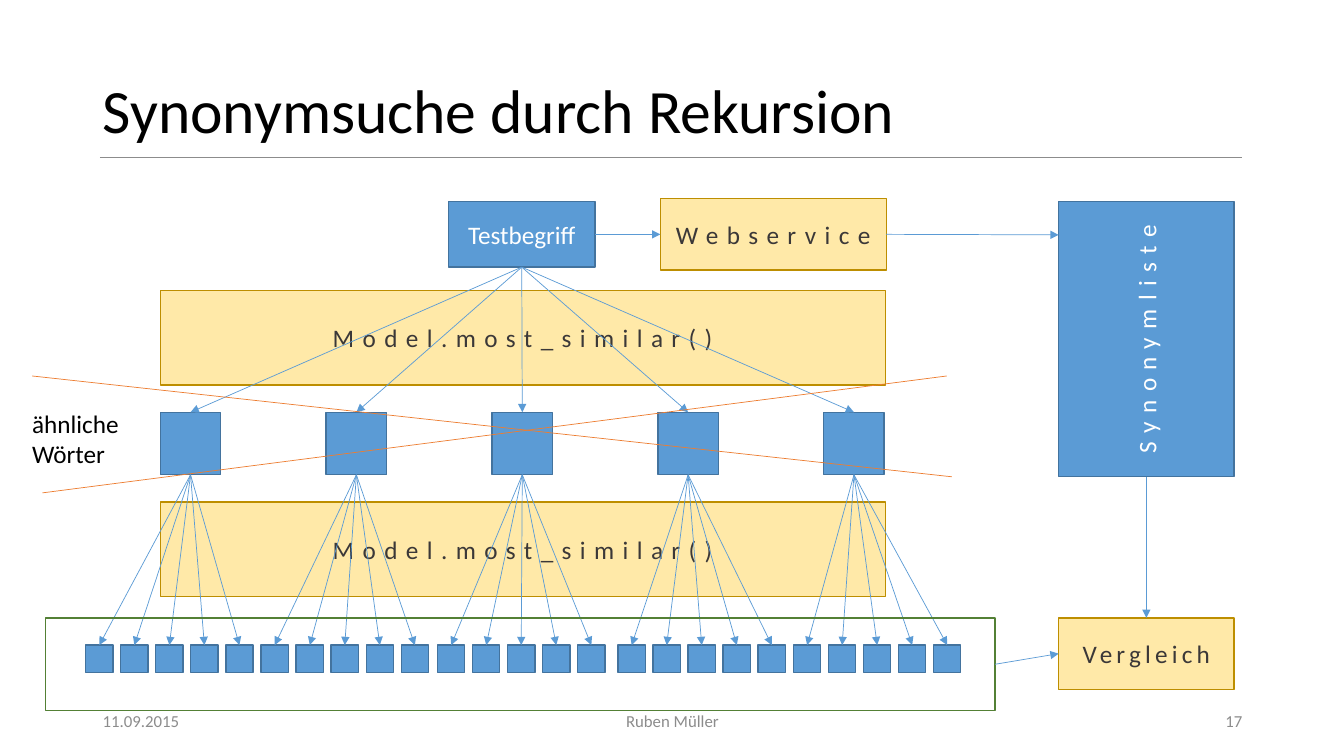
from lxml import etree
from pptx import Presentation
from pptx import util as u
from pptx.dml.color import RGBColor
from pptx.enum import shapes, text
from pptx.oxml import ns

HUES = {
    "blue": "5B9BD5", "navy": "43739E", "gold": "FFC000", "ochre": "BD8E00",
    "green": "538035", "orange": "ED7D31", "gray": "8C8C8C",
    "dark": "3B3838", "black": "000000", "white": "FFFFFF",
}
ALIGN = {"l": text.PP_ALIGN.LEFT, "c": text.PP_ALIGN.CENTER, "r": text.PP_ALIGN.RIGHT}
TOP, LEFT, BOTTOM, RIGHT = range(4)


def hue(name):
    return RGBColor.from_string(HUES[name])


def write(shape, words, size=18, color="black", align="l", gap=0, lead=None,
          middle=True, wrap=True, turn=None):
    """Put the lines of words into the shape."""
    frame = shape.text_frame
    frame.word_wrap = wrap
    frame.vertical_anchor = text.MSO_ANCHOR.MIDDLE if middle else text.MSO_ANCHOR.TOP
    if turn:
        shape.element.txBody.bodyPr.set("vert", turn)
    for i, line in enumerate(words.split("\n")):
        para = frame.add_paragraph() if i else frame.paragraphs[0]
        para.alignment = ALIGN[align]
        if lead:
            para.line_spacing = lead
        run = para.add_run()
        run.text = line
        run.font.name, run.font.size = "Calibri", u.Pt(size)
        run.font.color.rgb = hue(color)
        if gap:
            run.font._element.set("spc", str(gap * 100))


class Board:
    """Holds the slide and its line style."""
    thin, edge = u.Pt(0.5), u.Pt(1)

    def __init__(self, slide):
        self.slide = slide

    def label(self, words, x, y, w, h, **style):
        box = self.slide.shapes.add_textbox(*map(u.Inches, (x, y, w, h)))
        write(box, words, **style)

    def rect(self, x, y, w, h, fill="blue", line="navy", alpha=None):
        box = self.slide.shapes.add_shape(shapes.MSO_SHAPE.RECTANGLE,
                                          *map(u.Inches, (x, y, w, h)))
        box.shadow.inherit = False
        box.line.color.rgb, box.line.width = hue(line), self.edge
        if fill is None:
            box.fill.background()
            return box
        box.fill.solid()
        box.fill.fore_color.rgb = hue(fill)
        if alpha:
            tint = box.element.spPr.find(".//" + ns.qn("a:srgbClr"))
            etree.SubElement(tint, ns.qn("a:alpha")).set("val", str(alpha * 1000))
        return box

    def step(self, words, x, y, w, h, gap=6):
        box = self.rect(x, y, w, h, "gold", "ochre", alpha=34)
        write(box, words, color="dark", align="c", gap=gap)
        return box

    def line(self, x1, y1, x2, y2, color="blue"):
        wire = self.slide.shapes.add_connector(shapes.MSO_CONNECTOR.STRAIGHT,
                                               *map(u.Inches, (x1, y1, x2, y2)))
        wire.line.color.rgb, wire.line.width = hue(color), self.thin
        etree.SubElement(wire.element.spPr, ns.qn("a:effectLst"))
        return wire

    def arrow(self, start, side, end, goal=None, point=(0, 0)):
        """Join two boxes, or a box and a free point."""
        wire = self.line(0, 0, *point)
        wire.begin_connect(start, side)
        if goal is not None:
            wire.end_connect(end, goal)
        stroke = wire.element.spPr.find(ns.qn("a:ln"))
        etree.SubElement(stroke, ns.qn("a:tailEnd")).set("type", "triangle")


def main():
    deck = Presentation()
    deck.slide_width, deck.slide_height = u.Inches(13.33), u.Inches(7.5)
    board = Board(deck.slides.add_slide(deck.slide_layouts[6]))

    # Title and footer
    board.line(0.99, 1.56, 12.32, 1.56, "gray")
    board.label("Synonymsuche durch Rekursion", 0.92, 0.4, 11.5, 1.45, size=44, lead=0.9)
    for words, x, w, align in (("11.09.2015", 0.92, 3, "l"),
                               ("Ruben Müller", 4.42, 4.5, "c"),
                               ("17", 9.42, 3, "r")):
        board.label(words, x, 6.95, w, 0.4, size=12, color="gray", align=align)

    # Tree of words
    root = board.rect(4.45, 2, 1.45, 0.65)
    write(root, "Testbegriff", color="white", align="c")
    nodes = [board.rect(1.59 + 6.58 * i / 4, 4.09, 0.6, 0.62) for i in range(5)]
    leaves = [[board.rect(x + 1.39 * i / 4, 6.4, 0.27, 0.27) for i in range(5)]
              for x in (0.85, 2.59, 4.34, 6.13, 7.87)]

    # Search steps
    for y in (2.88, 4.98):
        board.step("Model.most_similar()", 1.59, y, 7.19, 0.94)

    # Branches
    for node, group in zip(nodes, leaves):
        board.arrow(root, BOTTOM, node, TOP)
        for leaf in group:
            board.arrow(node, BOTTOM, leaf, TOP)

    # Crossed-out middle level
    board.label("ähnliche\nWörter", 0.22, 4, 1.07, 0.71, middle=False, wrap=False)
    board.line(0.32, 3.73, 9.44, 4.73, "orange")
    board.line(9.39, 3.73, 0.42, 4.89, "orange")

    # Comparison with the synonym list
    frame = board.rect(0.45, 6.13, 9.42, 0.92, None, "green")
    web = board.step("Webservice", 6.55, 1.97, 2.24, 0.71)
    terms = board.rect(10.5, 2, 1.74, 2.73)
    write(terms, "Synonymliste", color="white", align="c", gap=6, turn="vert270")
    match = board.step("Vergleich", 10.5, 6.13, 1.74, 0.71, gap=3)
    board.arrow(root, RIGHT, web, LEFT)
    board.arrow(web, RIGHT, None, point=(10.5, 2.33))
    board.arrow(terms, BOTTOM, match, TOP)
    board.arrow(frame, RIGHT, match, LEFT)

    deck.save("out.pptx")


if __name__ == "__main__":
    main()
